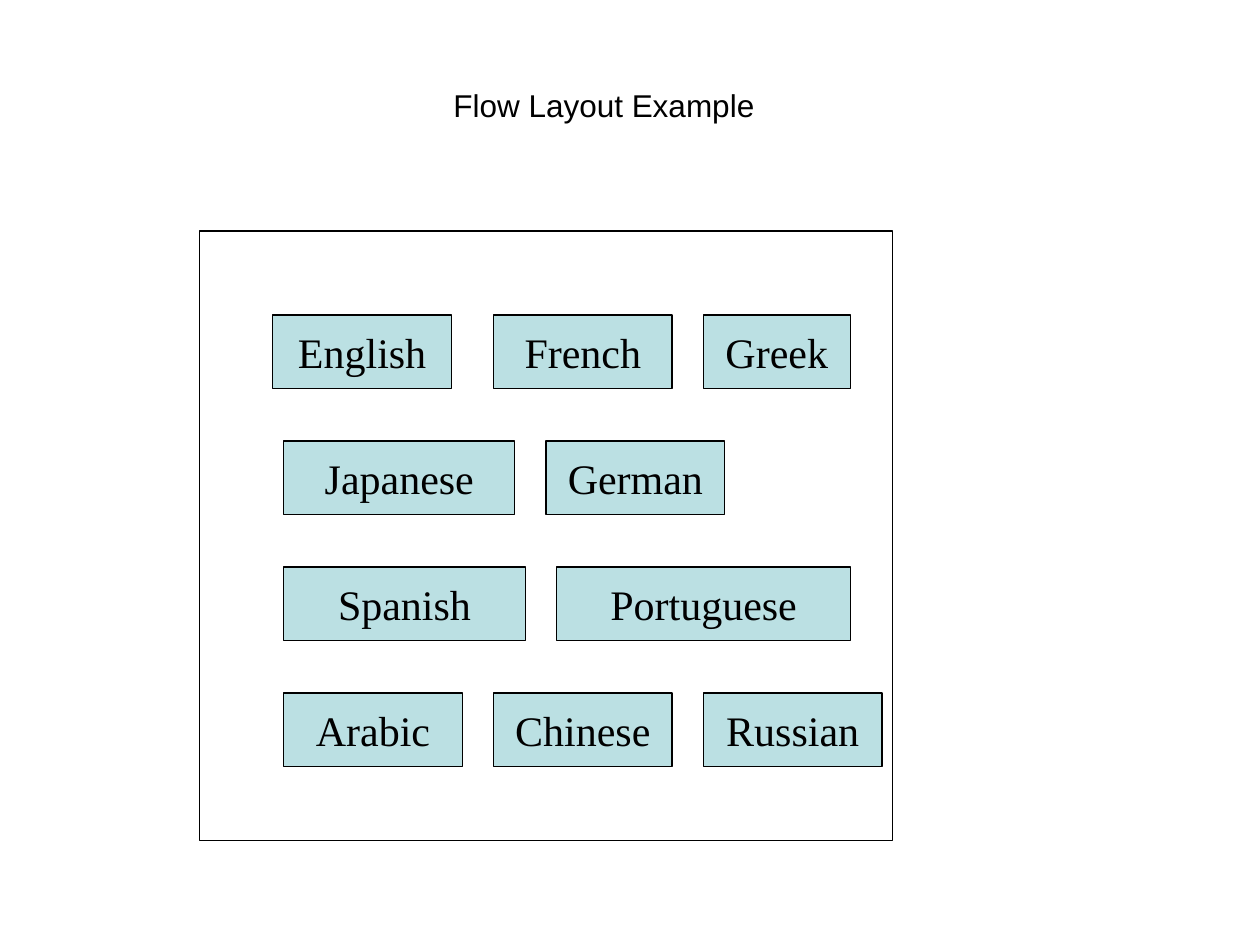
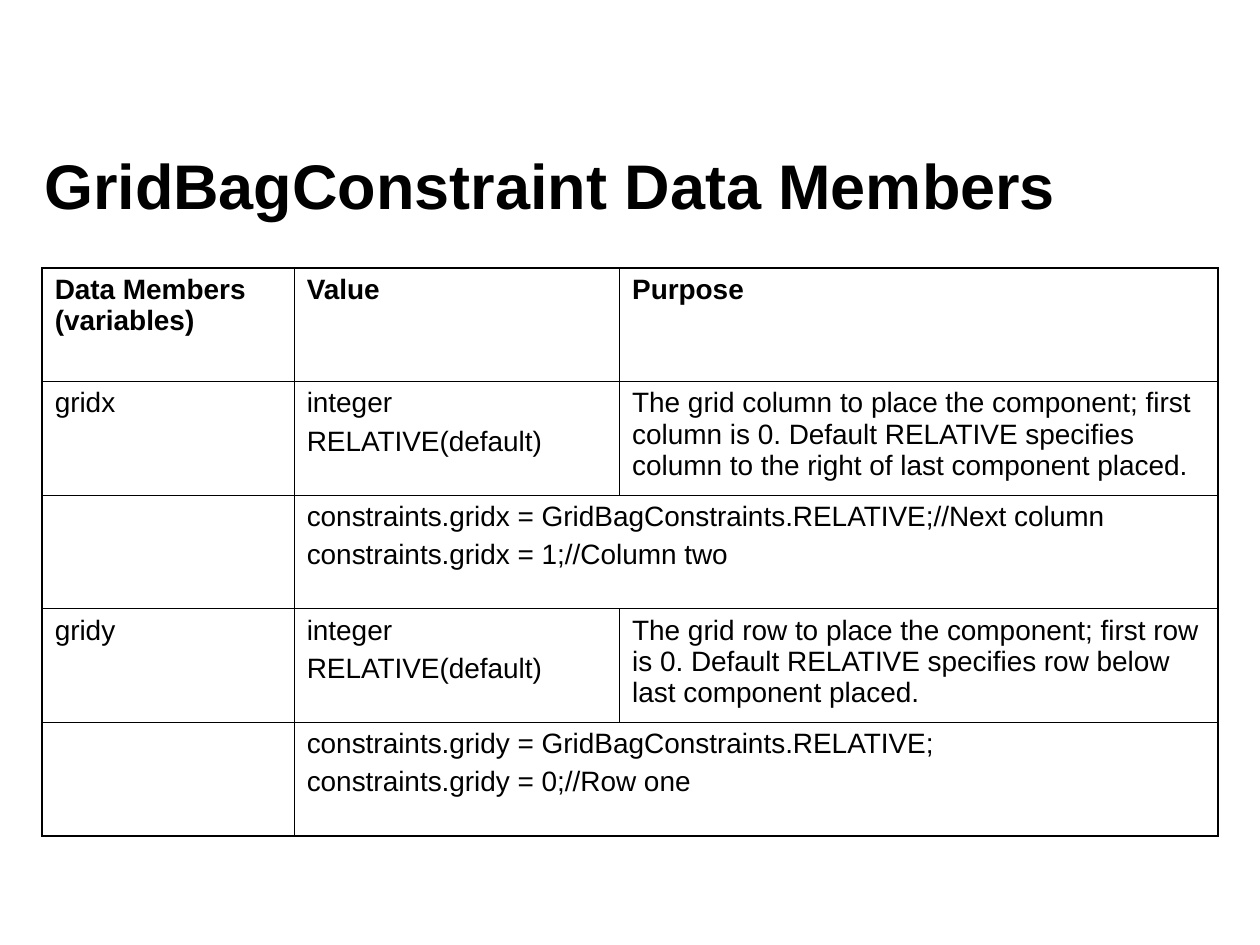
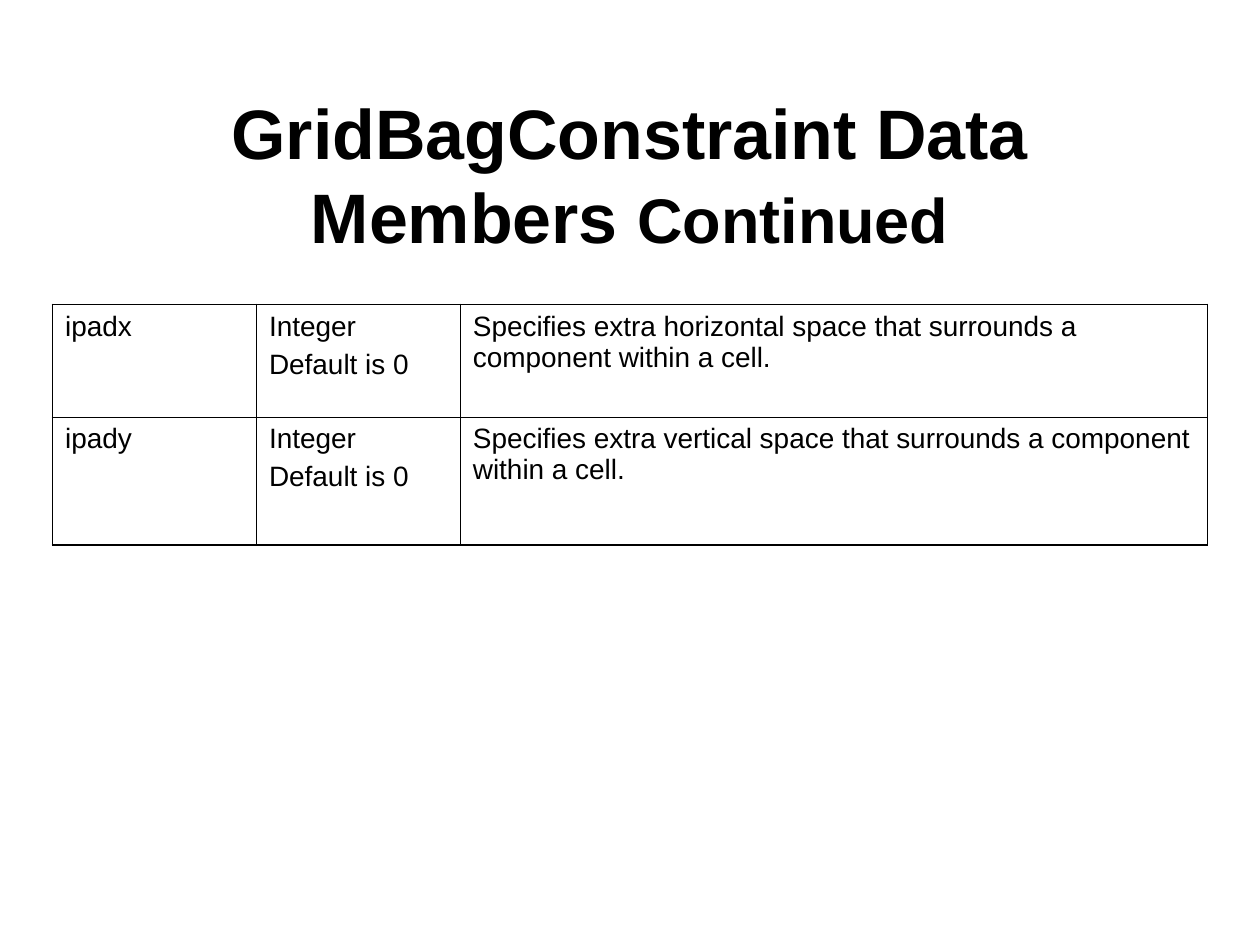
from dataclasses import dataclass

from lxml.etree import SubElement
from pptx import Presentation
from pptx.dml.color import RGBColor
from pptx.enum.shapes import MSO_SHAPE
from pptx.enum.text import MSO_ANCHOR, MSO_AUTO_SIZE, PP_ALIGN
from pptx.oxml.ns import qn
from pptx.util import Cm, Pt

BLACK = RGBColor(0x00, 0x00, 0x00)
WHITE = RGBColor(0xFF, 0xFF, 0xFF)
AQUA = RGBColor(0xBB, 0xE0, 0xE3)
SANS = "Arial"
SERIF = "Times New Roman"
OUTER, INNER = Pt(1.08), Pt(0.45)


@dataclass
class Box:
    """Place and size in centimetres."""
    left: float
    top: float
    width: float
    height: float

    def emu(self) -> tuple:
        """Return the four lengths for python-pptx."""
        return Cm(self.left), Cm(self.top), Cm(self.width), Cm(self.height)


@dataclass
class Tile:
    """A language button in a flow row."""
    text: str
    left: float
    width: float = 3.6


@dataclass
class Grid:
    """A table: its corner, column widths, row heights and cell texts."""
    left: float
    top: float
    cols: list
    rows: list
    cells: list
    bold: bool = False


FLOW = [
    [Tile("English", 5.5), Tile("French", 9.95), Tile("Greek", 14.18, 2.96)],
    [Tile("Japanese", 5.72, 4.66), Tile("German", 11.01)],
    [Tile("Spanish", 5.72, 4.87), Tile("Portuguese", 11.22, 5.93)],
    [Tile("Arabic", 5.72), Tile("Chinese", 9.95), Tile("Russian", 14.18)],
]

MEMBERS = Grid(0.85, 5.4, [5.08, 6.56, 12.07], [2.29] * 5, [
    ["Data Members (variables)", "Value", "Purpose"],
    ["gridx", "integer\nRELATIVE(default)",
     "The grid column to place the component; first column is 0. "
     "Default RELATIVE specifies column to the right of last component placed."],
    ["", "constraints.gridx = GridBagConstraints.RELATIVE;//Next column\n"
     "constraints.gridx = 1;//Column two"],
    ["gridy", "integer\nRELATIVE(default)",
     "The grid row to place the component; first row is 0. "
     "Default RELATIVE specifies row below last component placed."],
    ["", "constraints.gridy = GridBagConstraints.RELATIVE;\n"
     "constraints.gridy = 0;//Row one"],
], bold=True)

PADS = Grid(1.06, 6.14, [4.11, 4.11, 15.06], [2.27, 2.57], [
    [name, "Integer\nDefault is 0",
     f"Specifies extra {way} space that surrounds a component within a cell."]
    for name, way in (("ipadx", "horizontal"), ("ipady", "vertical"))
])


def write(par, text: str, *, size: float, font: str = SANS, bold: bool = False,
          align=PP_ALIGN.LEFT, gap: float = 0) -> None:
    """Add a formatted run to a paragraph."""
    par.alignment = align
    par.space_before = Pt(gap)
    run = par.add_run()
    run.text = text
    run.font.name = font
    run.font.size = Pt(size)
    run.font.bold = bold
    run.font.color.rgb = BLACK


def add_text(slide, box: Box, wrap: bool = True):
    """Add a text box and return its first paragraph."""
    frame = slide.shapes.add_textbox(*box.emu()).text_frame
    frame.word_wrap = wrap
    frame.vertical_anchor = MSO_ANCHOR.MIDDLE if wrap else MSO_ANCHOR.TOP
    if not wrap:
        frame.auto_size = MSO_AUTO_SIZE.SHAPE_TO_FIT_TEXT
    return frame.paragraphs[0]


def add_rect(slide, box: Box, fill: RGBColor):
    """Add a thinly outlined rectangle."""
    rect = slide.shapes.add_shape(MSO_SHAPE.RECTANGLE, *box.emu())
    rect.shadow.inherit = False
    rect.fill.solid()
    rect.fill.fore_color.rgb = fill
    rect.line.color.rgb = BLACK
    rect.line.width = Pt(0.75)
    return rect


def add_tile(slide, tile: Tile, top: float) -> None:
    """Add one language button."""
    box = Box(tile.left, top, tile.width, 1.48)
    frame = add_rect(slide, box, AQUA).text_frame
    frame.word_wrap = False
    frame.vertical_anchor = MSO_ANCHOR.MIDDLE
    write(frame.paragraphs[0], tile.text, size=24, font=SERIF,
          align=PP_ALIGN.CENTER)


def rule(cell, outer: dict) -> None:
    """Draw the borders of a cell, heavier on the table's outer sides."""
    props = cell._tc.get_or_add_tcPr()
    for side in "LRTB":
        width = OUTER if outer[side] else INNER
        line = SubElement(props, qn(f"a:ln{side}"), w=str(int(width)))
        fill = SubElement(line, qn("a:solidFill"))
        SubElement(fill, qn("a:srgbClr"), val=str(BLACK))
    cell.fill.background()


def add_grid(slide, grid: Grid) -> None:
    """Add a ruled table; a short row has its last cell widened."""
    high, wide = len(grid.rows), len(grid.cols)
    box = Box(grid.left, grid.top, sum(grid.cols), sum(grid.rows))
    table = slide.shapes.add_table(high, wide, *box.emu()).table
    table.first_row = table.horz_banding = False
    for col, width in zip(table.columns, grid.cols):
        col.width = Cm(width)
    for row, height in zip(table.rows, grid.rows):
        row.height = Cm(height)
    for y, texts in enumerate(grid.cells):
        last = len(texts) - 1
        if last < wide - 1:
            table.cell(y, last).merge(table.cell(y, wide - 1))
        for x in range(wide):
            rule(table.cell(y, x), {"L": x == 0, "R": x >= last,
                                    "T": y == 0, "B": y == high - 1})
        for x, text in enumerate(texts):
            frame = table.cell(y, x).text_frame
            for i, part in enumerate(text.split("\n") if text else []):
                par = frame.add_paragraph() if i else frame.paragraphs[0]
                write(par, part, size=16, bold=grid.bold and y == 0,
                      gap=4 if i else 0)


def flow_slide(slide) -> None:
    """Build the flow layout slide."""
    head = add_text(slide, Box(8.89, 1.6, 6.58, 1.02), wrap=False)
    write(head, "Flow Layout Example", size=18)
    add_rect(slide, Box(4.02, 4.66, 13.97, 12.28), WHITE)
    for i, row in enumerate(FLOW):
        for tile in row:
            add_tile(slide, tile, 6.35 + 2.54 * i)


def member_slide(slide) -> None:
    """Build the slide with the grid position members."""
    head = add_text(slide, Box(0.64, 2.12, 24.13, 3.18))
    write(head, "GridBagConstraint Data Members", size=36, bold=True)
    add_grid(slide, MEMBERS)


def pad_slide(slide) -> None:
    """Build the slide with the padding members."""
    head = add_text(slide, Box(1.9, 1.9, 21.59, 3.18))
    for text, size in (("GridBagConstraint Data Members ", 40), ("Continued", 36)):
        write(head, text, size=size, bold=True, align=PP_ALIGN.CENTER)
    add_grid(slide, PADS)


def main() -> None:
    """Build and save the deck."""
    deck = Presentation()
    deck.slide_width, deck.slide_height = Cm(25.4), Cm(19.05)
    for build in (flow_slide, member_slide, pad_slide):
        build(deck.slides.add_slide(deck.slide_layouts[6]))
    deck.save("out.pptx")


if __name__ == "__main__":
    main()
